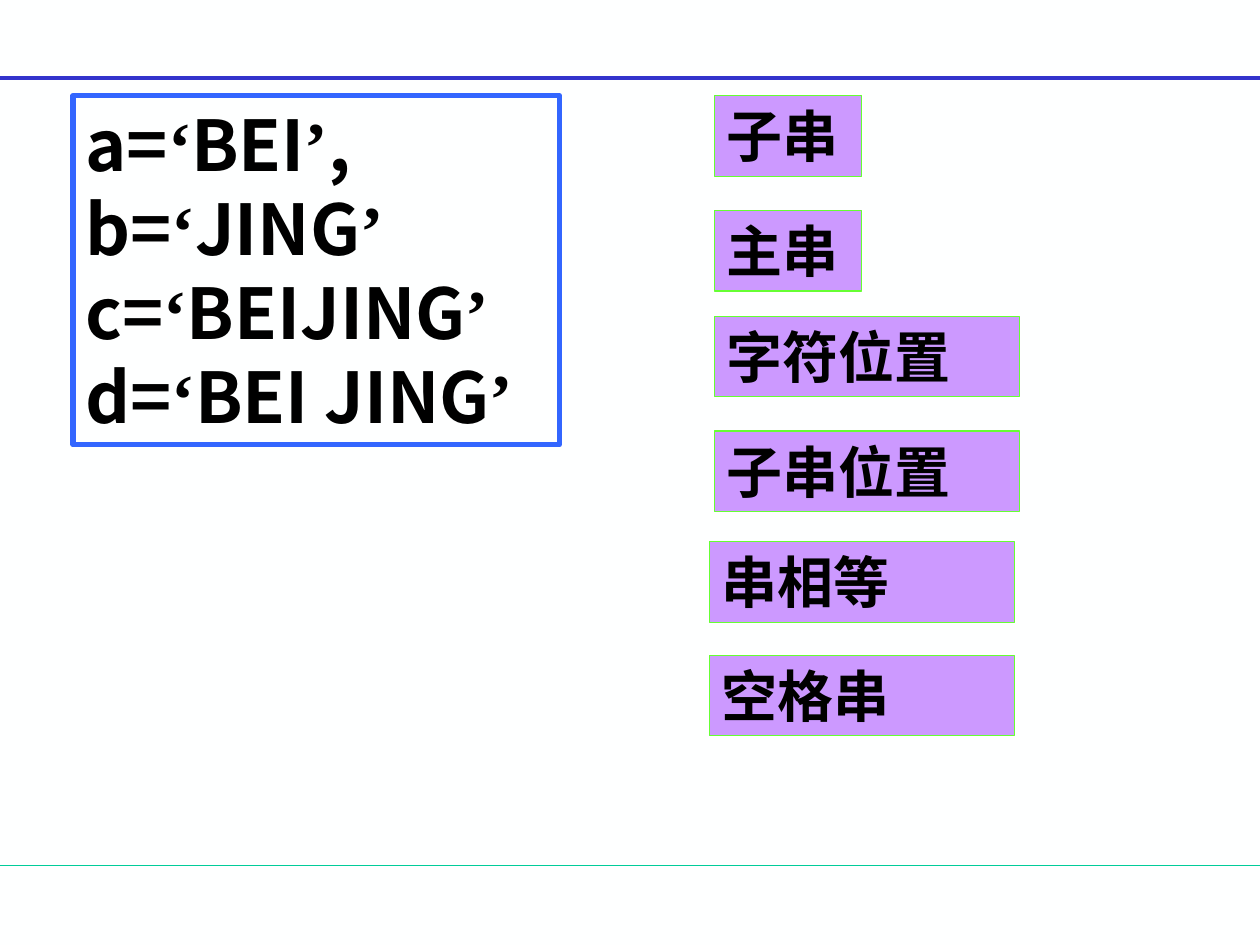
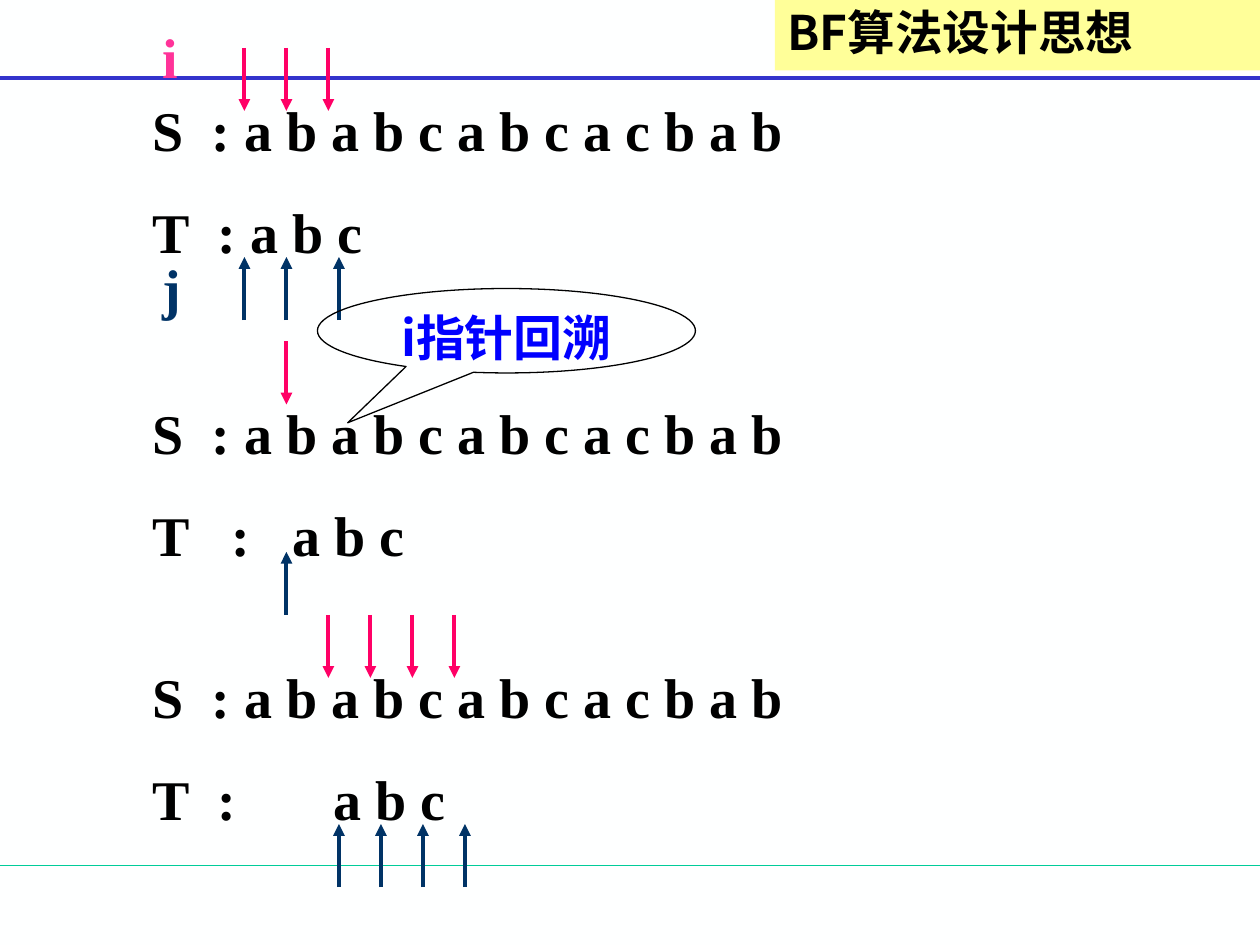
from dataclasses import dataclass

from lxml.etree import SubElement
from pptx import Presentation
from pptx.dml.color import RGBColor
from pptx.enum.shapes import MSO_CONNECTOR as Connector, MSO_SHAPE as Shape
from pptx.enum.text import MSO_ANCHOR as Anchor, MSO_AUTO_SIZE as AutoSize, PP_ALIGN as Align
from pptx.oxml.ns import qn
from pptx.util import Inches, Pt


@dataclass(frozen=True)
class Theme:
    sans: str = "Noto Sans CJK SC"
    serif: str = "Times New Roman"
    background: str = "FEFFFF"
    ink: str = "000000"
    header_rule: str = "3333CC"
    footer_rule: str = "00CC99"
    frame: str = "3366FF"
    term_fill: str = "CC99FF"
    term_line: str = "66FF33"
    title_fill: str = "FFFF99"
    i_label: str = "FF3399"
    i_arrow: str = "FF0066"
    j_pointer: str = "003366"
    callout_text: str = "0000FF"
    example_size: float = 40
    body_size: float = 32
    callout_size: float = 28
    title_size: float = 27.2
    thin: float = 0.75
    medium: float = 2.25
    thick: float = 3


class Deck:
    def __init__(self, theme):
        self.theme = theme
        self.presentation = Presentation()
        self.presentation.slide_width = Inches(10)
        self.presentation.slide_height = Inches(7.5)
        self.slide = None

    def new_slide(self):
        theme = self.theme
        self.slide = self.presentation.slides.add_slide(self.presentation.slide_layouts[6])
        background = self.slide.background.fill
        background.solid()
        background.fore_color.rgb = RGBColor.from_string(theme.background)
        self.line((0, 6.87), (10, 6.87), theme.footer_rule, theme.thin)
        self.line((0, 0.62), (10, 0.62), theme.header_rule, theme.medium)

    def line(self, start, end, color, width, arrow=False):
        line = self.slide.shapes.add_connector(
            Connector.STRAIGHT, *(Inches(value) for value in (*start, *end)))
        line.line.color.rgb = RGBColor.from_string(color)
        line.line.width = Pt(width)
        properties = line._element.spPr
        if arrow:
            SubElement(properties.find(qn("a:ln")), qn("a:tailEnd"), type="triangle")
        SubElement(properties, qn("a:effectLst"))

    def box(self, place, fill=None, outline=None, width=0.75, kind=Shape.RECTANGLE,
            anchor=Anchor.TOP, grow=True):
        """Add a shape and return it, ready to take paragraphs."""
        box = self.slide.shapes.add_shape(kind, *map(Inches, place))
        box.shadow.inherit = False
        if fill:
            box.fill.solid()
            box.fill.fore_color.rgb = RGBColor.from_string(fill)
        else:
            box.fill.background()
        if outline:
            box.line.color.rgb = RGBColor.from_string(outline)
            box.line.width = Pt(width)
        else:
            box.line.fill.background()
        self.prepare(box.text_frame, anchor, grow)
        return box

    def text_box(self, place):
        box = self.slide.shapes.add_textbox(*map(Inches, place))
        self.prepare(box.text_frame, Anchor.TOP, True)
        return box

    def prepare(self, frame, anchor, grow):
        frame.word_wrap = True
        frame.vertical_anchor = anchor
        frame.auto_size = AutoSize.SHAPE_TO_FIT_TEXT if grow else AutoSize.NONE

    def add_text(self, box, paragraphs, size, color=None, align=Align.LEFT,
                 before=0, spacing=None, tabs=()):
        """Fill a box; each paragraph is a list of (text, font), tabs one tuple of stops each."""
        frame = box.text_frame
        for index, runs in enumerate(paragraphs):
            paragraph = frame.add_paragraph() if index else frame.paragraphs[0]
            paragraph.alignment = align
            if index and before:
                paragraph.space_before = Pt(before)
            if spacing:
                paragraph.line_spacing = spacing
            if tabs:
                stops = SubElement(paragraph._p.get_or_add_pPr(), qn("a:tabLst"))
                for stop in tabs[index]:
                    SubElement(stops, qn("a:tab"), pos=str(Inches(stop)), algn="l")
            for text, typeface in runs:
                run = paragraph.add_run()
                run.text = text
                run.font.name = typeface
                run.font.size = Pt(size)
                run.font.bold = True
                run.font.color.rgb = RGBColor.from_string(color or self.theme.ink)
                SubElement(run._r.get_or_add_rPr(), qn("a:ea"), typeface=typeface)

    def term(self, text, left, top, width):
        theme = self.theme
        box = self.box((left, top, width, 0.64), theme.term_fill, theme.term_line)
        self.add_text(box, [[(text, theme.sans)]], theme.body_size)

    def pointer_label(self, text, top, width, color):
        box = self.text_box((1.19, top, width, 0.64))
        self.add_text(box, [[(text, self.theme.serif)]], self.theme.body_size, color)

    def match_step(self, top, width, pattern_stops):
        """Set the main string S over the pattern T, shifted by its tab stops."""
        theme = self.theme
        box = self.text_box((1.11, top, width, 1.45))
        rows = ["S\t:\ta b a b c a b c a c b a b", "T\t:\ta b c"]
        self.add_text(box, [[(row, theme.serif)] for row in rows], theme.body_size,
                      before=20, tabs=[(0.47, 0.73), pattern_stops])

    def pointers(self, columns, tail, head, color):
        """Draw one arrow per character column."""
        for column in columns:
            x = 1.94 + column / 3
            self.line((x, tail), (x, head), color, self.theme.medium, arrow=True)


def build_string_terms(deck):
    theme = deck.theme
    deck.new_slide()
    examples = deck.box((0.58, 0.76, 3.86, 2.77), outline=theme.frame, width=theme.thick)
    strings = [("a", "BEI"), ("b", "JING"), ("c", "BEIJING"), ("d", "BEI JING")]
    rows = [[(f"{name}=", theme.sans), ("‘", theme.serif),
             (value, theme.sans), ("’", theme.serif)] for name, value in strings]
    rows[0].append((",", theme.sans))
    deck.add_text(examples, rows, theme.example_size)

    for text, left, top, width in [
        ("子串", 5.67, 0.76, 1.17),
        ("主串", 5.67, 1.67, 1.17),
        ("字符位置", 5.67, 2.51, 2.42),
        ("子串位置", 5.67, 3.42, 2.42),
        ("串相等", 5.63, 4.3, 2.42),
        ("空格串", 5.63, 5.2, 2.42),
    ]:
        deck.term(text, left, top, width)


def build_brute_force_idea(deck):
    theme = deck.theme
    deck.new_slide()
    deck.match_step(0.71, 7.92, (0.52, 0.78))
    deck.match_step(3.11, 8.42, (0.63, 1.11))
    deck.match_step(5.21, 5.75, (0.52, 1.44))
    deck.pointer_label("i", 0.13, 0.92, theme.i_label)
    deck.pointer_label("j", 1.96, 0.5, theme.j_pointer)

    for columns, tail, head, color in [
        ((0, 1, 2), 0.38, 0.88, theme.i_arrow),
        ((0, 1, 2.25), 2.54, 2.04, theme.j_pointer),
        ((1,), 2.71, 3.21, theme.i_arrow),
        ((1,), 4.88, 4.38, theme.j_pointer),
        ((2, 3, 4, 5), 4.88, 5.38, theme.i_arrow),
        ((2.25, 3.25, 4.25, 5.25), 7.04, 6.54, theme.j_pointer),
    ]:
        deck.pointers(columns, tail, head, color)

    callout = deck.box((2.52, 2.29, 3, 0.67), outline=theme.ink,
                       kind=Shape.OVAL_CALLOUT, grow=False)
    callout.adjustments[0] = -0.42
    callout.adjustments[1] = 1.09
    deck.add_text(callout, [[("i指针回溯", theme.sans)]], theme.callout_size,
                  theme.callout_text, Align.CENTER)

    title = deck.box((6.15, 0, 3.85, 0.56), theme.title_fill,
                     anchor=Anchor.MIDDLE, grow=False)
    deck.add_text(title, [[("BF算法设计思想", theme.sans)]], theme.title_size, spacing=0.9)


def main():
    deck = Deck(Theme())
    build_string_terms(deck)
    build_brute_force_idea(deck)
    deck.presentation.save("out.pptx")


if __name__ == "__main__":
    main()
